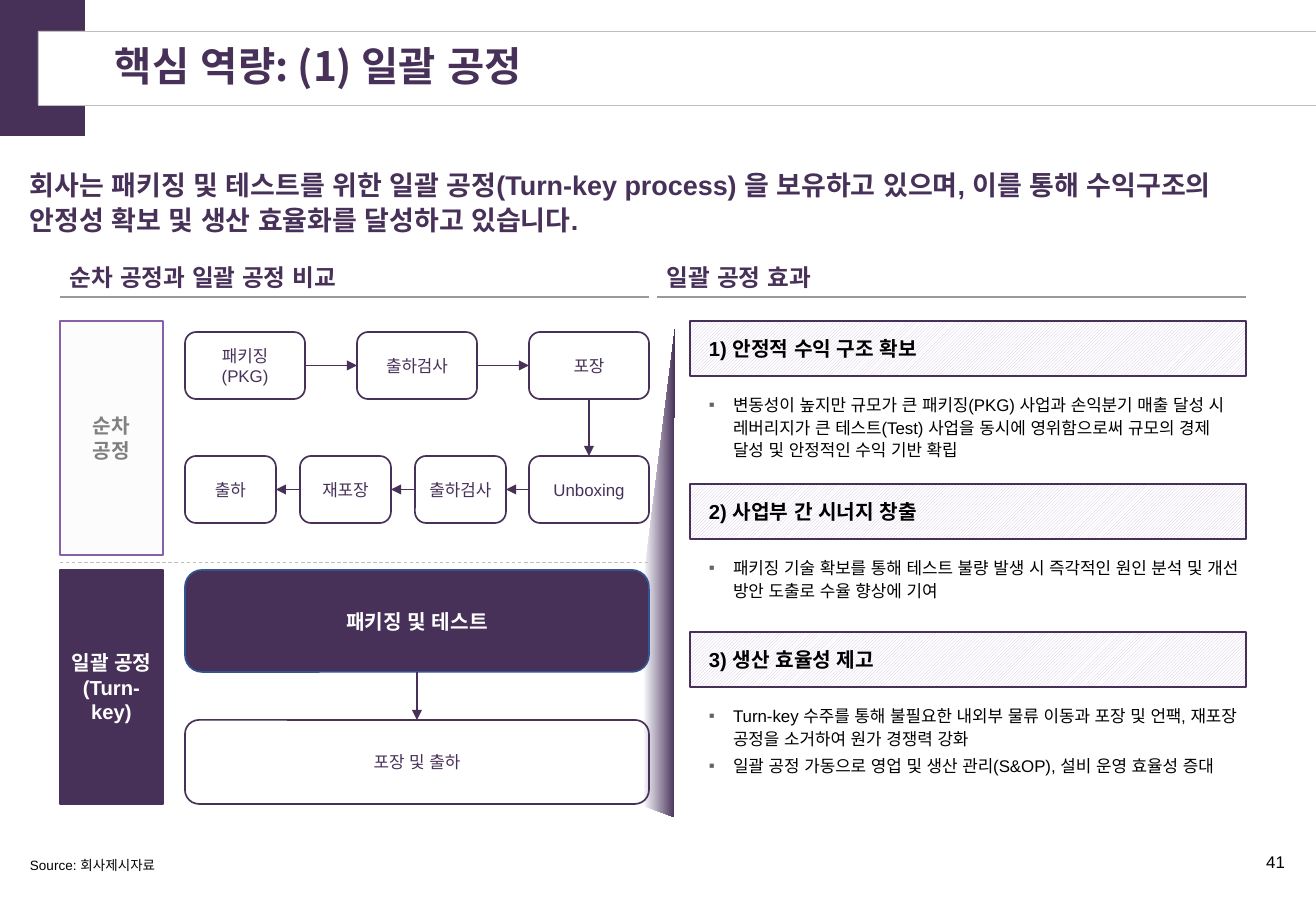
"""Build the slide on the turn-key process as a core strength."""
from dataclasses import dataclass
from itertools import pairwise

from lxml.etree import SubElement
from pptx import Presentation
from pptx.dml.color import RGBColor
from pptx.enum.dml import MSO_LINE, MSO_PATTERN
from pptx.enum.lang import MSO_LANGUAGE_ID
from pptx.enum.shapes import MSO_CONNECTOR, MSO_SHAPE
from pptx.enum.text import MSO_ANCHOR, MSO_AUTO_SIZE, PP_ALIGN
from pptx.oxml.ns import qn
from pptx.util import Pt

SCALE = 7526
TOP, LEFT, BOTTOM, RIGHT = range(4)


@dataclass(frozen=True)
class Theme:
    plum: str = "483159"
    lilac: str = "8960A8"
    hatch: str = "D1C1DD"
    blue: str = "325491"
    pale: str = "F6F8FC"
    mist: str = "F2F2F2"
    rule: str = "999999"
    edge: str = "BFBFBF"
    gray: str = "808080"
    dot: str = "646464"
    black: str = "000000"
    white: str = "FFFFFF"
    latin: str = "Arial"
    hangul: str = "Noto Sans CJK KR"
    title: int = 24
    lead: int = 16
    head: int = 14
    label: int = 12
    body: int = 10
    small: int = 8


def px(count):
    return count * SCALE


def rgb(code):
    return RGBColor.from_string(code)


def write(shape, text, size, color, face, hangul, bold=False, align=PP_ALIGN.LEFT,
          anchor=MSO_ANCHOR.MIDDLE, pad=(12, 6, 12, 6), space=None, after=None, dot=None):
    frame = shape.text_frame
    frame.word_wrap = True
    frame.auto_size = MSO_AUTO_SIZE.NONE
    frame.vertical_anchor = anchor
    frame.margin_left, frame.margin_top, frame.margin_right, frame.margin_bottom = map(px, pad)
    frame.text = text
    for para in frame.paragraphs:
        para.alignment = align
        if space:
            para.line_spacing = space
        if after:
            para.space_after = Pt(after)
        for run in para.runs:
            font = run.font
            font.name, font.size, font.bold = face, Pt(size), bold
            font.color.rgb = rgb(color)
            font.language_id = MSO_LANGUAGE_ID.KOREAN
    for props in shape.element.iter(qn("a:rPr")):
        SubElement(props, qn("a:ea"), typeface=hangul)
    if dot:
        for props in shape.element.iter(qn("a:pPr")):
            props.set("marL", str(px(24)))
            props.set("indent", str(-px(24)))
            SubElement(SubElement(props, qn("a:buClr")), qn("a:srgbClr"), val=dot)
            SubElement(props, qn("a:buFont"), typeface=face)
            SubElement(props, qn("a:buChar"), char="▪")


class Deck:
    def __init__(self, theme):
        self.theme = theme
        self.show = Presentation()
        self.show.slide_width, self.show.slide_height = px(1316), px(911)
        self.slide = self.show.slides.add_slide(self.show.slide_layouts[5])
        self.shapes = self.slide.shapes

    def text(self, shape, words, size, color, **form):
        form = {"face": self.theme.latin, "hangul": self.theme.hangul} | form
        write(shape, words, size, color, **form)

    def paint(self, shape, fill=None, line=None, width=1, alpha=None, hatch=None):
        if hatch:
            shape.fill.patterned()
            shape.fill.pattern = MSO_PATTERN.LIGHT_UPWARD_DIAGONAL
            shape.fill.fore_color.rgb = rgb(hatch)
            shape.fill.back_color.rgb = rgb(self.theme.white)
        elif fill:
            shape.fill.solid()
            shape.fill.fore_color.rgb = rgb(fill)
        else:
            shape.fill.background()
        if alpha:
            tint = next(shape.element.iter(qn("a:srgbClr")))
            SubElement(tint, qn("a:alpha"), val=str(alpha * 1000))
        if line:
            shape.line.color.rgb = rgb(line)
            shape.line.width = Pt(width)
        else:
            shape.line.fill.background()

    def title(self, words, place):
        shape = self.shapes.title
        shape.left, shape.top, shape.width, shape.height = map(px, place)
        self.paint(shape, self.theme.white, self.theme.edge, 0.25)
        self.text(shape, words, self.theme.title, self.theme.plum, bold=True,
                  face=self.theme.hangul, pad=(77, 0, 12, 0), space=0.9)
        return shape

    def box(self, place, kind=MSO_SHAPE.RECTANGLE, **look):
        shape = self.shapes.add_shape(kind, *map(px, place))
        shape.shadow.inherit = False
        self.paint(shape, **look)
        return shape

    def note(self, words, place, size, color, **form):
        self.text(self.shapes.add_textbox(*map(px, place)), words, size, color, **form)

    def step(self, words, place, bold=False):
        theme = self.theme
        look = {"fill": theme.plum, "line": theme.blue} if bold else {"line": theme.plum}
        shape = self.box(place, MSO_SHAPE.ROUNDED_RECTANGLE, **look)
        self.text(shape, words, theme.label if bold else theme.body,
                  theme.white if bold else theme.plum, bold=bold,
                  align=PP_ALIGN.CENTER, pad=(5, 5, 5, 5))
        return shape

    def line(self, ends, color, width):
        shape = self.shapes.add_connector(MSO_CONNECTOR.STRAIGHT, *map(px, ends))
        shape.line.color.rgb = rgb(color)
        shape.line.width = Pt(width)
        SubElement(shape.element.spPr, qn("a:effectLst"))
        return shape

    def link(self, start, out, end, into):
        shape = self.line((0, 0, 0, 0), self.theme.plum, 1)
        shape.begin_connect(start, out)
        shape.end_connect(end, into)
        SubElement(shape.element.spPr.get_or_add_ln(), qn("a:tailEnd"), type="triangle")

    def wedge(self, points):
        first, *rest = [(px(x), px(y)) for x, y in points]
        path = self.shapes.build_freeform(*first)
        path.add_line_segments(rest)
        shape = path.convert_to_shape()
        shape.shadow.inherit = False
        shape.line.fill.background()
        shape.fill.gradient()
        shape.fill.gradient_angle = 0
        for stop, color in zip(shape.fill.gradient_stops, (self.theme.pale, self.theme.plum)):
            stop.color.rgb = rgb(color)

    def head(self, words, left):
        self.note(words, (left, 260, 589, 34), self.theme.head, self.theme.plum,
                  bold=True, pad=(10, 6, 10, 6))
        self.line((left, 297, left + 589, 297), self.theme.rule, 0.75)

    def gain(self, name, points, top):
        theme = self.theme
        bar = self.box((690, top, 556, 55), hatch=theme.hatch, line=theme.plum)
        self.text(bar, name, theme.label, theme.black, bold=True, pad=(19, 6, 5, 6))
        self.note(points, (690, top + 67, 556, 102), theme.body, theme.black,
                  anchor=MSO_ANCHOR.TOP, pad=(19, 5, 5, 5), space=1.1, after=3, dot=theme.dot)


def main():
    theme = Theme()
    deck = Deck(theme)
    title = deck.title("핵심 역량: (1) 일괄 공정", (38, 31, 1278, 74))
    title.element.addprevious(deck.box((0, 0, 85, 136), fill=theme.plum).element)
    deck.wedge([(675, 329), (644, 577), (644, 806), (674, 817)])
    deck.note("회사는 패키징 및 테스트를 위한 일괄 공정(Turn-key process) 을 보유하고 있으며, "
              "이를 통해 수익구조의 안정성 확보 및 생산 효율화를 달성하고 있습니다.",
              (18, 159, 1278, 74), theme.lead, theme.plum,
              bold=True, anchor=MSO_ANCHOR.TOP, space=1.1)
    deck.note("Source: 회사제시자료", (18, 824, 1102, 55), theme.small, theme.black,
              anchor=MSO_ANCHOR.BOTTOM, space=0.9)
    deck.note("41", (1175, 846, 122, 33), theme.body, theme.black,
              align=PP_ALIGN.RIGHT, anchor=MSO_ANCHOR.TOP)

    deck.head("순차 공정과 일괄 공정 비교", 60)
    deck.head("일괄 공정 효과", 657)
    serial = deck.box((60, 321, 103, 234), fill=theme.mist, alpha=20, line=theme.lilac)
    deck.text(serial, "순차 공정", theme.label, theme.gray, bold=True, align=PP_ALIGN.CENTER)
    whole = deck.box((60, 570, 103, 234), fill=theme.plum, line=theme.plum)
    deck.text(whole, "일괄 공정\n(Turn-key)", theme.label, theme.white, bold=True,
              align=PP_ALIGN.CENTER, pad=(5, 6, 5, 6))
    deck.line((60, 562, 649, 562), theme.edge, 0.5).line.dash_style = MSO_LINE.DASH

    upper = [deck.step(words, (185 + 172 * col, 332, 120, 67))
             for col, words in enumerate(("패키징\n(PKG)", "출하검사", "포장"))]
    lower = [deck.step("Unboxing", (529, 456, 120, 67))]
    lower += [deck.step(words, (415 - 115 * col, 456, 91, 67))
              for col, words in enumerate(("출하검사", "재포장", "출하"))]
    for start, end in pairwise(upper):
        deck.link(start, RIGHT, end, LEFT)
    deck.link(upper[-1], BOTTOM, lower[0], TOP)
    for start, end in pairwise(lower):
        deck.link(start, LEFT, end, RIGHT)
    joint = deck.step("패키징 및 테스트", (185, 570, 464, 102), bold=True)
    ship = deck.step("포장 및 출하", (185, 720, 464, 84))
    deck.link(joint, BOTTOM, ship, TOP)

    deck.gain("1) 안정적 수익 구조 확보",
              "변동성이 높지만 규모가 큰 패키징(PKG) 사업과 손익분기 매출 달성 시 레버리지가 큰 "
              "테스트(Test) 사업을 동시에 영위함으로써 규모의 경제 달성 및 안정적인 수익 기반 확립", 321)
    deck.gain("2) 사업부 간 시너지 창출",
              "패키징 기술 확보를 통해 테스트 불량 발생 시 즉각적인 원인 분석 및 개선 방안 도출로 "
              "수율 향상에 기여", 484)
    deck.gain("3) 생산 효율성 제고",
              "Turn-key 수주를 통해 불필요한 내외부 물류 이동과 포장 및 언팩, 재포장 공정을 소거하여 "
              "원가 경쟁력 강화\n일괄 공정 가동으로 영업 및 생산 관리(S&OP), 설비 운영 효율성 증대", 632)
    deck.show.save("out.pptx")


if __name__ == "__main__":
    main()
